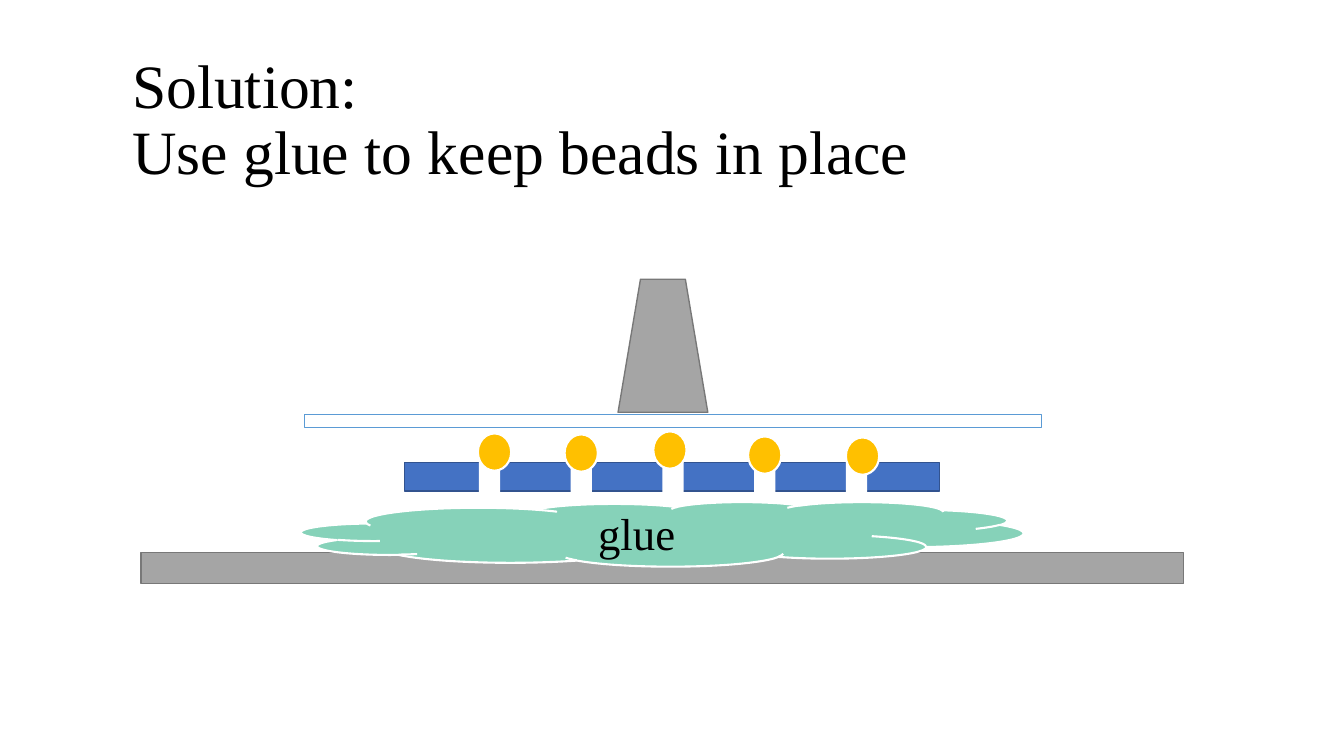
import pptx
import pptx.util
import pptx.dml.color
import pptx.enum.shapes
import pptx.enum.text

Inches = pptx.util.Inches
Pt = pptx.util.Pt
KIND = pptx.enum.shapes.MSO_SHAPE
ALIGN = pptx.enum.text.PP_ALIGN

BLACK, WHITE = "000000", "FFFFFF"
GRAY, EDGE = "A5A5A5", "787878"
BLUE, NAVY, SKY = "4472C4", "32538F", "5B9BD5"
GOLD, GREEN = "FFC000", "86D2B9"


def color(code):
    return pptx.dml.color.RGBColor.from_string(code)


def shape(slide, kind, box, fill, line=None, width=1):
    part = slide.shapes.add_shape(kind, *map(Inches, box))
    part.shadow.inherit = False
    part.fill.solid()
    part.fill.fore_color.rgb = color(fill)
    if line:
        part.line.color.rgb = color(line)
        part.line.width = Pt(width)
    else:
        part.line.fill.background()


def label(slide, box, lines, size, align=ALIGN.LEFT, space=1.0):
    frame = slide.shapes.add_textbox(*map(Inches, box)).text_frame
    frame.word_wrap = True
    frame.vertical_anchor = pptx.enum.text.MSO_ANCHOR.MIDDLE
    frame.margin_left = frame.margin_right = Inches(0.05)
    frame.margin_top = frame.margin_bottom = Inches(0.05)
    for i, line in enumerate(lines):
        para = frame.add_paragraph() if i else frame.paragraphs[0]
        para.alignment = align
        para.line_spacing = space
        run = para.add_run()
        run.text = line
        run.font.name = "Times New Roman"
        run.font.size = Pt(size)
        run.font.color.rgb = color(BLACK)


def title(slide, box):
    lines = ["Solution:", "Use glue to keep beads in place"]
    label(slide, box, lines, 44, space=0.9)


def holder(slide, box):
    left, top, width, height = box
    shape(slide, KIND.RECTANGLE, box, BLUE, NAVY)
    for i in range(5):
        gap = (left + 0.74 + 0.91 * i, top - 0.14, 0.21, 0.79)
        shape(slide, KIND.RECTANGLE, gap, WHITE)
    beads = [(0.73, 0.29), (1.59, 0.28), (2.47, 0.31), (3.41, 0.26), (4.38, 0.25)]
    for x, rise in beads:
        bead = (left + x, top - rise, 0.33, 0.37)
        shape(slide, KIND.OVAL, bead, GOLD, WHITE, 1.5)


def glue(slide, box):
    left, top, width, height = box
    shape(slide, KIND.CLOUD, box, GREEN, WHITE, 1.5)
    label(slide, (left + 0.99, top, 4.67, 0.6), ["glue"], 32, ALIGN.CENTER)


def press(slide, box):
    left, top, width, height = box
    shape(slide, KIND.RECTANGLE, (left, top + height - 0.13, width, 0.13), WHITE, SKY)
    shape(slide, KIND.TRAPEZOID, (left + 3.11, top, 0.89, height - 0.15), GRAY, EDGE)


def main():
    deck = pptx.Presentation()
    deck.slide_width, deck.slide_height = Inches(13.33), Inches(7.5)
    slide = deck.slides.add_slide(deck.slide_layouts[6])
    title(slide, (1.26, 0.48, 11.5, 1.45))
    shape(slide, KIND.RECTANGLE, (1.4, 5.48, 10.34, 0.31), GRAY, EDGE)
    holder(slide, (4.01, 4.59, 5.31, 0.28))
    glue(slide, (2.99, 4.98, 7.16, 0.64))
    press(slide, (3.02, 2.77, 7.31, 1.47))
    deck.save("out.pptx")


if __name__ == "__main__":
    main()
